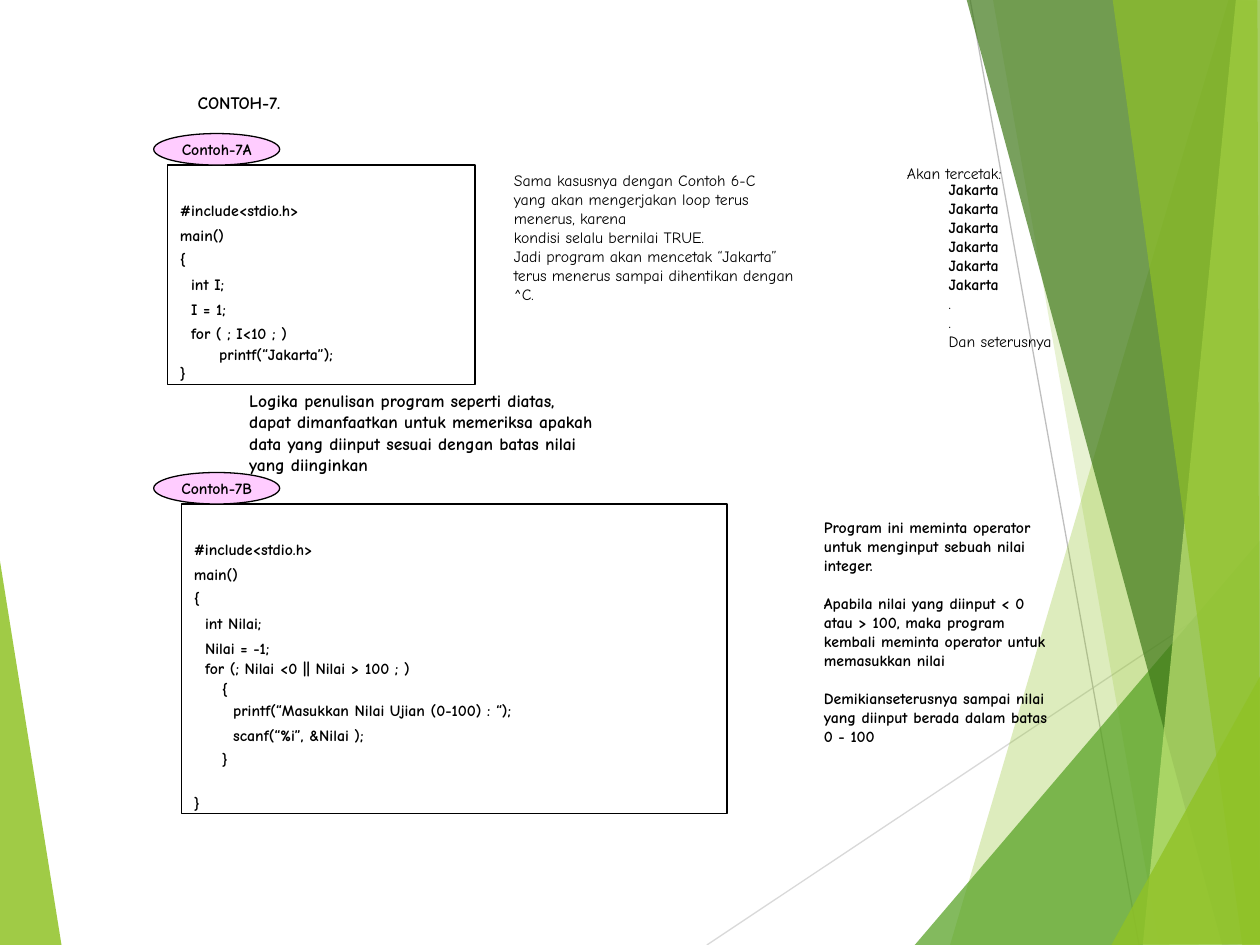
from dataclasses import dataclass

from lxml import etree
from pptx import Presentation
from pptx.dml.color import RGBColor as RGB
from pptx.enum.shapes import MSO_CONNECTOR as Link, MSO_SHAPE as Kind
from pptx.enum.text import MSO_ANCHOR as Anchor, MSO_AUTO_SIZE as Fit, PP_ALIGN as Align
from pptx.oxml.ns import qn
from pptx.util import Pt

PX = 9144  # EMU per px, 100 px to the inch


@dataclass(frozen=True)
class Theme:
    font: str = "Comic Neue"
    body: int = 9
    lead: int = 10
    ink: str = "000000"
    pink: str = "FFCCFF"
    lime: str = "90C226"
    pale: str = "C0E474"
    leaf: str = "54A021"
    moss: str = "3F7819"
    light: str = "D9D9D9"
    gray: str = "BFBFBF"


T = Theme()


def write(frame, lines, size=T.body, bold=True):
    frame.margin_left = frame.margin_right = 10 * PX
    frame.margin_top = frame.margin_bottom = 5 * PX
    for i, line in enumerate(lines):
        para = frame.paragraphs[0] if i == 0 else frame.add_paragraph()
        para.text = line
        para.alignment = Align.LEFT
        font = para.font
        font.name, font.size, font.bold = T.font, Pt(size), bold
        font.color.rgb = RGB.from_string(T.ink)
    return frame.paragraphs


def draw(kind, x, y, w, h, fill=None):
    shape = slide.shapes.add_shape(kind, x * PX, y * PX, w * PX, h * PX)
    shape.shadow.inherit = False
    if fill:
        shape.fill.solid()
        shape.fill.fore_color.rgb = RGB.from_string(fill)
    else:
        shape.fill.background()
    shape.line.color.rgb = RGB.from_string(T.ink)
    shape.line.width = Pt(0.75)
    return shape


deck = Presentation()
deck.slide_width, deck.slide_height = 1000 * PX, 750 * PX
slide = deck.slides.add_slide(deck.slide_layouts[6])

# Green facets: colour, opacity in percent, corners
facets = [
    (T.lime, 85, [(-1, 439), (49, 751), (-1, 750)]),
    (T.lime, 30, [(975, 0), (754, 750), (1002, 751), (1001, 1)]),
    (T.lime, 20, [(788, -1), (920, 750), (1001, 750), (1001, -1)]),
    (T.leaf, 72, [(726, 750), (1000, 429), (1001, 750)]),
    (T.moss, 70, [(767, -1), (970, 750), (1001, 749), (1001, -1)]),
    (T.pale, 70, [(981, -1), (907, 750), (1001, 750), (1000, -1)]),
    (T.lime, 65, [(883, -1), (986, 750), (1000, 750), (998, -1)]),
    (T.lime, 80, [(882, 750), (1001, 535), (1001, 749)]),
]
rays = [(T.light, 561, 750, 1001, 457), (T.gray, 770, 0, 904, 750)]
for i, (color, alpha, dots) in enumerate(facets):
    path = slide.shapes.build_freeform(*dots[0], scale=PX)
    path.add_line_segments(dots[1:], close=True)
    facet = path.convert_to_shape()
    facet.shadow.inherit = False
    facet.line.fill.background()
    facet.fill.solid()
    facet.fill.fore_color.rgb = RGB.from_string(color)
    tint = facet.fill._xPr.find(".//" + qn("a:srgbClr"))
    etree.SubElement(tint, qn("a:alpha")).set("val", str(alpha * 1000))

    # The thin rays lie just above the left facet
    for shade, *ends in rays if i == 0 else []:
        ray = slide.shapes.add_connector(Link.STRAIGHT, *(n * PX for n in ends))
        ray.line.color.rgb = RGB.from_string(shade)
        ray.line.width = Pt(0.75)
        etree.SubElement(ray._element.spPr, qn("a:effectLst"))

# Code boxes, each line with its spacing
code_a = [
    ("#include<stdio.h>", 1.3),
    ("main()", 1.3),
    ("{", 1.3),
    ("  int I;", 1.3),
    ("  I = 1;", 1.3),
    ("  for ( ; I<10 ; )", 1.3),
    ("       printf(“Jakarta”);", 1.1),
    ("}", 1.0),
]
code_b = [
    ("#include<stdio.h>", 1.3),
    ("main()", 1.3),
    ("{", 1.3),
    ("  int Nilai;", 1.3),
    ("  Nilai = -1;", 1.3),
    ("  for (; Nilai <0 || Nilai > 100 ; )", 1.1),
    ("     {", 1.1),
    ("       printf(“Masukkan Nilai Ujian (0-100) : “);", 1.1),
    ("       scanf(“%i”, &Nilai );", 1.3),
    ("     }", 1.3),
    ("}", 1.0),
]
boxes = [
    ("Contoh-7A", code_a, 133, 131, 244, 174, 0),
    ("Contoh-7B", code_b, 144, 400, 433, 246, 14),
]
for name, code, x, y, w, h, gap in boxes:
    frame = draw(Kind.RECTANGLE, x, y, w, h).text_frame
    frame.word_wrap = True
    frame.vertical_anchor = Anchor.TOP
    paras = write(frame, [line for line, _ in code])
    frame.margin_top = 24 * PX
    for para, (_, space) in zip(paras, code):
        para.line_spacing = space
    paras[-1].space_before = Pt(gap)

# Oval tags on top of the boxes
for name, code, x, y, *_ in boxes:
    frame = draw(Kind.OVAL, 122, y - 25, 100, 25, T.pink).text_frame
    frame.word_wrap = False
    frame.vertical_anchor = Anchor.MIDDLE
    write(frame, [name])[0].alignment = Align.CENTER

# Notes: place, wrap, size, bold, lines, bold count, spaced lines
case = [
    "Sama kasusnya dengan Contoh 6-C",
    "yang akan mengerjakan loop terus menerus, karena",
    "kondisi selalu bernilai TRUE.",
    "Jadi program akan mencetak “Jakarta”",
    "terus menerus sampai dihentikan dengan ^C.",
]
prints = ["Jakarta"] * 6 + [".", ".", "Dan seterusnya"]
logic = [
    "Logika penulisan program seperti diatas,",
    "dapat dimanfaatkan untuk memeriksa apakah",
    "data yang diinput sesuai dengan batas nilai",
    "yang diinginkan",
]
about = [
    "Program ini meminta operator",
    "untuk menginput sebuah nilai",
    "integer.",
    "Apabila nilai yang diinput < 0",
    "atau > 100, maka program",
    "kembali meminta operator untuk",
    "memasukkan nilai",
    "Demikianseterusnya sampai nilai",
    "yang diinput berada dalam batas",
    "0 - 100",
]
notes = [
    ((398, 131, 258, 116), True, T.body, 0, case, ()),
    ((710, 125, 96, 25), False, T.body, 0, ["Akan tercetak:"], ()),
    ((743, 138, 102, 146), False, T.body, 6, prints, ()),
    ((188, 305, 293, 77), False, T.lead, 4, logic, ()),
    ((644, 406, 201, 191), False, T.body, 10, about, (3, 7)),
    ((147, 68, 86, 27), False, T.lead, 1, ["CONTOH-7."], ()),
]
for place, wrap, size, heavy, lines, breaks in notes:
    frame = slide.shapes.add_textbox(*(n * PX for n in place)).text_frame
    frame.word_wrap = wrap
    frame.auto_size = Fit.SHAPE_TO_FIT_TEXT
    paras = write(frame, lines, size)
    for para in paras[heavy:]:
        para.font.bold = False
    for i in breaks:
        paras[i].space_before = Pt(11)

deck.save("out.pptx")
